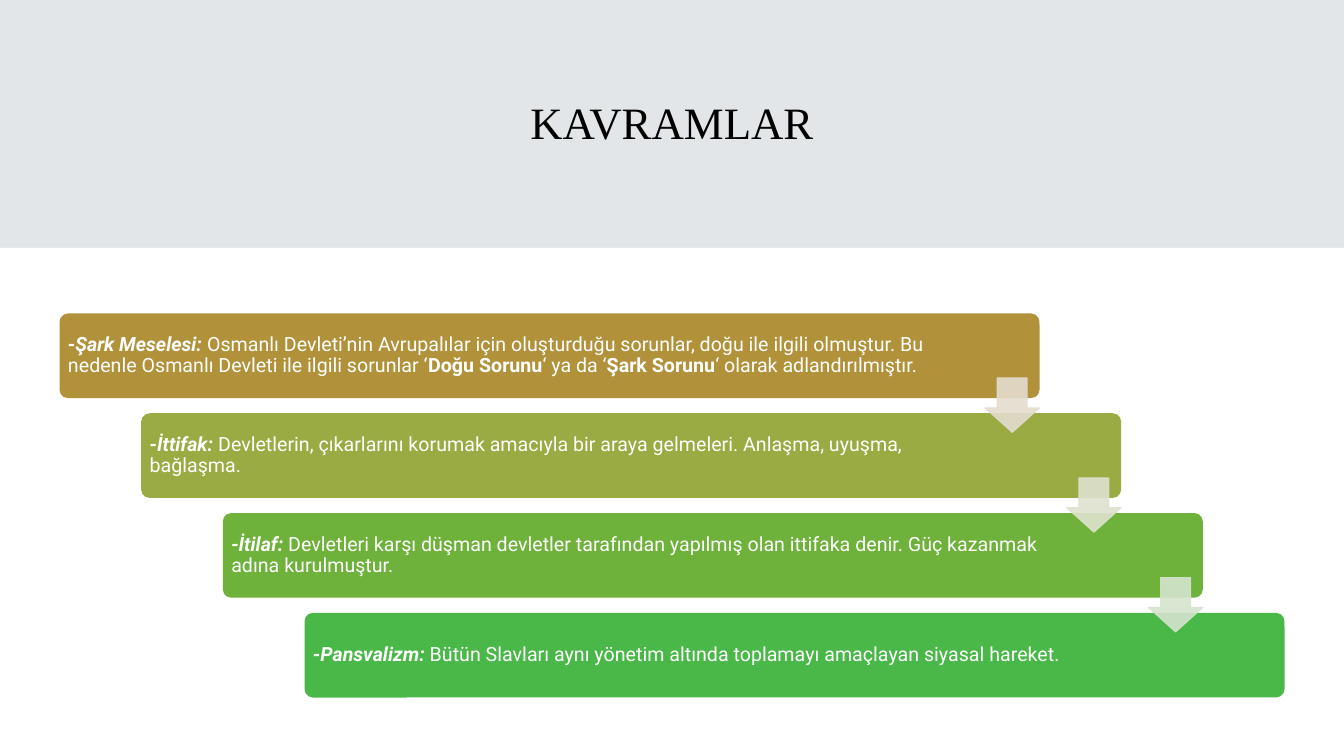
from lxml import etree
from pptx import Presentation
from pptx.dml.color import RGBColor
from pptx.enum.shapes import MSO_SHAPE as SHAPE
from pptx.enum.text import MSO_ANCHOR as ANCHOR, PP_ALIGN as ALIGN
from pptx.oxml.ns import qn
from pptx.util import Inches, Pt

COLORS = {"background": "E2E6E8", "panel": "FFFFFF", "title": "000000", "text": "FFFFFF"}

PLAIN, BOLD, TERM = (False, False), (True, False), (True, True)  # bold, italic

# bar colour, right text margin, text runs
CONCEPTS = [
    ("B1923B", 0.98, [
        ("-Şark Meselesi: ", TERM),
        ("Osmanlı Devleti’nin Avrupalılar için oluşturduğu sorunlar, doğu ile ilgili olmuştur. "
         "Bu nedenle Osmanlı Devleti ile ilgili sorunlar ‘", PLAIN),
        ("Doğu Sorunu", BOLD),
        ("‘ ya da ‘", PLAIN),
        ("Şark Sorunu", BOLD),
        ("‘ olarak adlandırılmıştır.", PLAIN)]),
    ("9BAB43", 1.42, [
        ("-İttifak: ", TERM),
        ("Devletlerin, çıkarlarını korumak amacıyla bir araya gelmeleri. "
         "Anlaşma, uyuşma, bağlaşma.", PLAIN)]),
    ("6EB13B", 1.42, [
        ("-İtilaf: ", TERM),
        ("Devletleri karşı düşman devletler tarafından yapılmış olan ittifaka denir. "
         "Güç kazanmak adına kurulmuştur.", PLAIN)]),
    ("4AB848", 1.42, [
        ("-Pansvalizm: ", TERM),
        ("Bütün Slavları aynı yönetim altında toplamayı amaçlayan siyasal hareket.", PLAIN)]),
]
ARROW_COLORS = ["E4DCCE", "DEE2CF", "D5E4CE"]
STEP_X, STEP_Y = 0.81, 0.99


def add_filled(kind, left, top, width, height, color, adjustments=()):
    sp = s.shapes.add_shape(kind, Inches(left), Inches(top), Inches(width), Inches(height))
    sp.shadow.inherit = False
    sp.fill.solid()
    sp.fill.fore_color.rgb = RGBColor.from_string(color)
    sp.line.fill.background()
    for i, value in enumerate(adjustments):
        sp.adjustments[i] = value
    return sp


def add_run(p, text, color, **font):
    r = p.add_run()
    r.text = text
    r.font.color.rgb = RGBColor.from_string(color)
    for name, value in font.items():
        setattr(r.font, name, value)


prs = Presentation()
prs.slide_width, prs.slide_height = Inches(13.33), Inches(7.5)
s = prs.slides.add_slide(prs.slide_layouts[6])
s.background.fill.solid()
s.background.fill.fore_color.rgb = RGBColor.from_string(COLORS["background"])

# Title
title = s.shapes.add_textbox(Inches(1.18), Inches(0.59), Inches(10.97), Inches(1.23))
tf = title.text_frame
tf.word_wrap = True
tf.vertical_anchor = ANCHOR.MIDDLE
p = tf.paragraphs[0]
p.alignment = ALIGN.CENTER
add_run(p, "KAVRAMLAR", COLORS["title"], size=Pt(32), name="Times New Roman")

add_filled(SHAPE.RECTANGLE, 0, 2.46, 13.33, 5.04, COLORS["panel"])

# Staircase of concept bars
for i, (color, right_margin, runs) in enumerate(CONCEPTS):
    bar = add_filled(SHAPE.ROUNDED_RECTANGLE, 0.59 + i * STEP_X, 3.11 + i * STEP_Y,
                     9.72, 0.84, color, [0.1])
    tf = bar.text_frame
    frame_format = {"word_wrap": True, "vertical_anchor": ANCHOR.MIDDLE,
                    "margin_left": Inches(0.06), "margin_right": Inches(right_margin),
                    "margin_top": Inches(0.06), "margin_bottom": Inches(0.06)}
    for name, value in frame_format.items():
        setattr(tf, name, value)
    p = tf.paragraphs[0]
    p.alignment = ALIGN.LEFT
    p.line_spacing = 0.9
    for text, (bold, italic) in runs:
        add_run(p, text, COLORS["text"], size=Pt(14), name="Roboto", bold=bold, italic=italic)

# Translucent arrows from each bar to the next
for i, color in enumerate(ARROW_COLORS):
    arrow = add_filled(SHAPE.DOWN_ARROW, 9.77 + i * STEP_X, 3.75 + i * STEP_Y,
                       0.54, 0.54, color, [0.55, 0.45])
    arrow.line.color.rgb = RGBColor.from_string(color)
    arrow.line.width = Pt(0.75)
    for clr in arrow.fill._xPr.iter(qn("a:srgbClr")):
        etree.SubElement(clr, qn("a:alpha"), val="90000")

prs.save("out.pptx")
